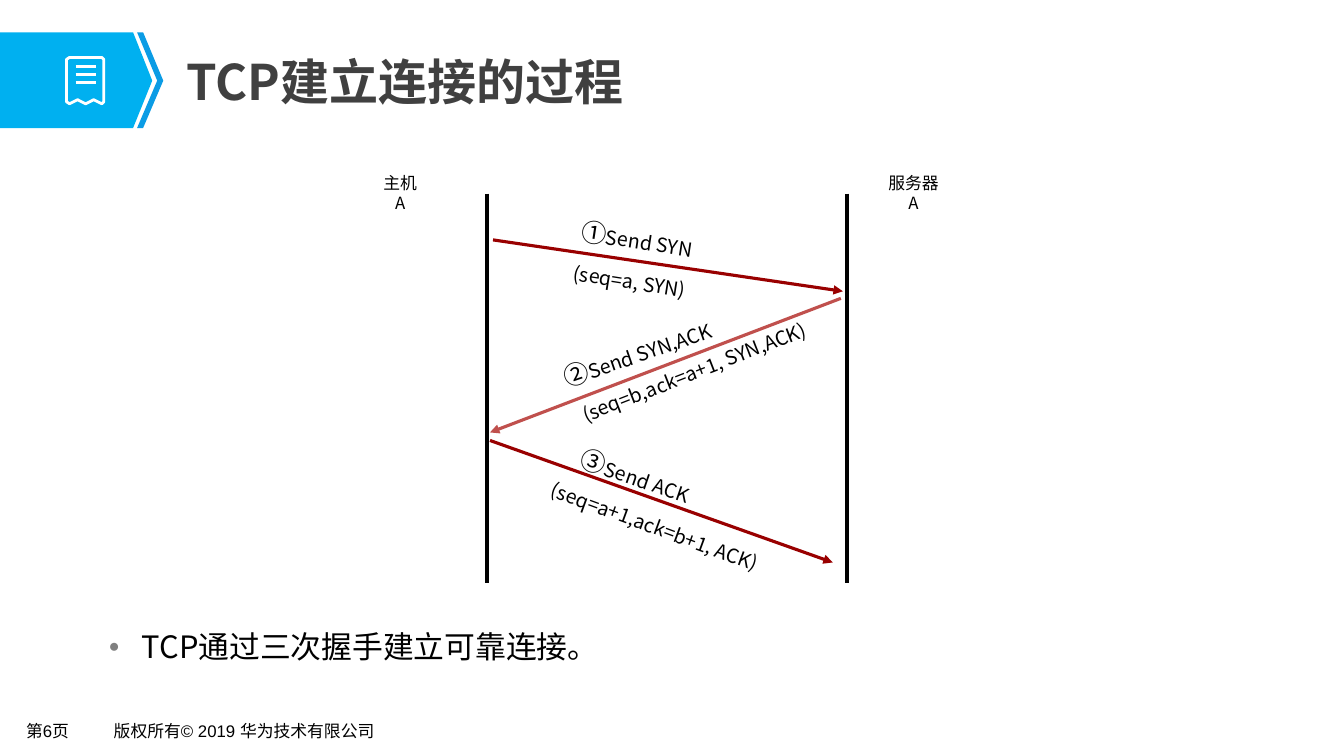
import lxml.etree
import pptx
import pptx.dml.color
import pptx.enum.shapes
import pptx.enum.text
import pptx.oxml.ns
import pptx.util
from pptx.util import Inches

RGBColor = pptx.dml.color.RGBColor
BLACK = RGBColor(0x00, 0x00, 0x00)
WHITE = RGBColor(0xFF, 0xFF, 0xFF)
TITLE_GRAY = RGBColor(0x40, 0x40, 0x40)
BANNER_BLUE = RGBColor(0x00, 0xB0, 0xF0)
CHEVRON_BLUE = RGBColor(0x0B, 0x9C, 0xE5)
DARK_RED = RGBColor(0x99, 0x00, 0x00)
LIGHT_RED = RGBColor(0xC0, 0x50, 0x4D)

SANS = "Noto Sans CJK SC"
ALIGN = pptx.enum.text.PP_ALIGN
ANCHOR = pptx.enum.text.MSO_ANCHOR


def add_element(parent, tag, **attributes):
    return lxml.etree.SubElement(parent, pptx.oxml.ns.qn(tag), **attributes)


def add_run(paragraph, text, size, font=SANS, color=BLACK, bold=False):
    run = paragraph.add_run()
    run.text = text
    run.font.size = pptx.util.Pt(size)
    run.font.bold = bold
    run.font.color.rgb = color
    run.font.name = font
    add_element(run.font._element, "a:ea", typeface=SANS)


def add_text(slide, box, runs, align=ALIGN.CENTER, anchor=ANCHOR.MIDDLE,
             wrap=False, rotation=0, font=SANS):
    """Place a one-paragraph text box; runs holds (text, size) pairs."""
    shape = slide.shapes.add_textbox(*map(Inches, box))
    shape.rotation = rotation
    frame = shape.text_frame
    frame.word_wrap = wrap
    frame.vertical_anchor = anchor
    paragraph = frame.paragraphs[0]
    paragraph.alignment = align
    for text, size in runs:
        add_run(paragraph, text, size, font)
    return paragraph


def add_line(slide, start, end, color=BLACK, width=2.25, arrow=False):
    connector = slide.shapes.add_connector(
        pptx.enum.shapes.MSO_CONNECTOR.STRAIGHT, *map(Inches, start + end))
    connector.line.color.rgb = color
    connector.line.width = pptx.util.Pt(width)
    if arrow:
        add_element(connector.line._get_or_add_ln(), "a:tailEnd", type="triangle")
    add_element(connector._element.spPr, "a:effectLst")


def add_outline(slide, points, fill=None, line=None):
    points = [(Inches(x), Inches(y)) for x, y in points]
    builder = slide.shapes.build_freeform(*points[0])
    builder.add_line_segments(points[1:], close=True)
    shape = builder.convert_to_shape()
    shape.shadow.inherit = False
    if fill is None:
        shape.fill.background()
    else:
        shape.fill.solid()
        shape.fill.fore_color.rgb = fill
    if line is None:
        shape.line.fill.background()
    else:
        shape.line.color.rgb = line
        shape.line.width = pptx.util.Pt(2)


def add_banner(slide):
    top, middle, bottom = 0.32, 0.8, 1.27
    add_outline(slide, [(0, top), (1.32, top), (1.51, middle), (1.32, bottom),
                        (0, bottom)], fill=BANNER_BLUE)
    add_outline(slide, [(1.36, top), (1.42, top), (1.62, middle), (1.42, bottom),
                        (1.36, bottom), (1.56, middle)], fill=CHEVRON_BLUE)
    # Receipt icon
    add_outline(slide, [(0.69, 0.57), (1.01, 0.57), (1.03, 0.59), (1.03, 1.01),
                        (1.01, 1.03), (0.93, 0.99), (0.85, 1.03), (0.77, 0.99),
                        (0.69, 1.03), (0.66, 1.01), (0.66, 0.59)], line=WHITE)
    for y in (0.66, 0.74, 0.82):
        add_line(slide, (0.75, y), (0.95, y), WHITE, 1.75)


def add_title(slide, text):
    title = slide.shapes.title
    title.left, title.top = Inches(1.74), Inches(0.45)
    title.width, title.height = Inches(10.75), Inches(0.7)
    frame = title.text_frame
    frame.margin_left = frame.margin_right = Inches(0.11)
    frame.vertical_anchor = ANCHOR.MIDDLE
    frame.auto_size = pptx.enum.text.MSO_AUTO_SIZE.NONE
    paragraph = frame.paragraphs[0]
    paragraph.alignment = ALIGN.LEFT
    add_run(paragraph, text, 35, color=TITLE_GRAY, bold=True)


def add_handshake(slide):
    # Hosts and their lifelines
    for name, box, x in (("主机A", (3.67, 1.66, 0.6, 0.3), 4.83),
                         ("服务器 A", (8.69, 1.66, 0.74, 0.3), 8.4)):
        add_text(slide, box, [(name, 12)], anchor=ANCHOR.TOP, wrap=True)
        add_line(slide, (x, 1.92), (x, 5.78))

    # Messages: arrow, then label above and label below
    messages = [
        ((4.89, 2.38), (8.36, 2.89), DARK_RED,
         "①", "Send SYN", (5.18, 2.17, 2.28, 0.4), 8.7,
         "(seq=a, SYN)", (5.54, 2.62, 1.41, 0.34), 9),
        ((8.34, 2.96), (4.86, 4.29), LIGHT_RED,
         "②", "Send SYN,ACK", (4.62, 3.3, 3.4, 0.4), 341.1,
         "(seq=b,ack=a+1, SYN,ACK)", (5.51, 3.52, 2.75, 0.34), 338.7),
        ((4.86, 4.37), (8.26, 5.58), DARK_RED,
         "③", "Send ACK", (4.84, 4.52, 2.93, 0.4), 18.9,
         "(seq=a+1,ack=b+1, ACK)", (5.21, 5.05, 2.57, 0.34), 20.2),
    ]
    for (start, end, color, number, action, action_box, action_angle,
         detail, detail_box, detail_angle) in messages:
        add_line(slide, start, end, color, arrow=True)
        add_text(slide, action_box, [(number, 18), (action, 14)],
                 wrap=True, rotation=action_angle)
        add_text(slide, detail_box, [(detail, 14)], rotation=detail_angle)


def add_bullet(slide, box, text):
    paragraph = add_text(slide, box, [(text, 22)], align=ALIGN.LEFT, wrap=True)
    properties = paragraph._p.get_or_add_pPr()
    properties.set("marL", str(Inches(0.33)))
    properties.set("indent", str(Inches(-0.33)))
    bullet_color = add_element(properties, "a:buClr")
    add_element(bullet_color, "a:srgbClr", val="808080")
    add_element(properties, "a:buSzPct", val="60000")
    add_element(properties, "a:buFont", typeface="Arial")
    add_element(properties, "a:buChar", char="●")


def main():
    presentation = pptx.Presentation()
    presentation.slide_width = Inches(13.33)
    presentation.slide_height = Inches(7.5)
    slide = presentation.slides.add_slide(presentation.slide_layouts[5])

    add_banner(slide)
    add_title(slide, "TCP建立连接的过程")
    add_handshake(slide)
    add_bullet(slide, (0.98, 6.16, 11.55, 0.5), "TCP通过三次握手建立可靠连接。")

    # Footer
    for text, left, width in (("第6页", 0.16, 0.8),
                              ("版权所有© 2019 华为技术有限公司", 1.03, 3.2)):
        add_text(slide, (left, 7.1, width, 0.29), [(text, 12)],
                 align=ALIGN.LEFT, font="Arial")

    presentation.save("out.pptx")


if __name__ == "__main__":
    main()
